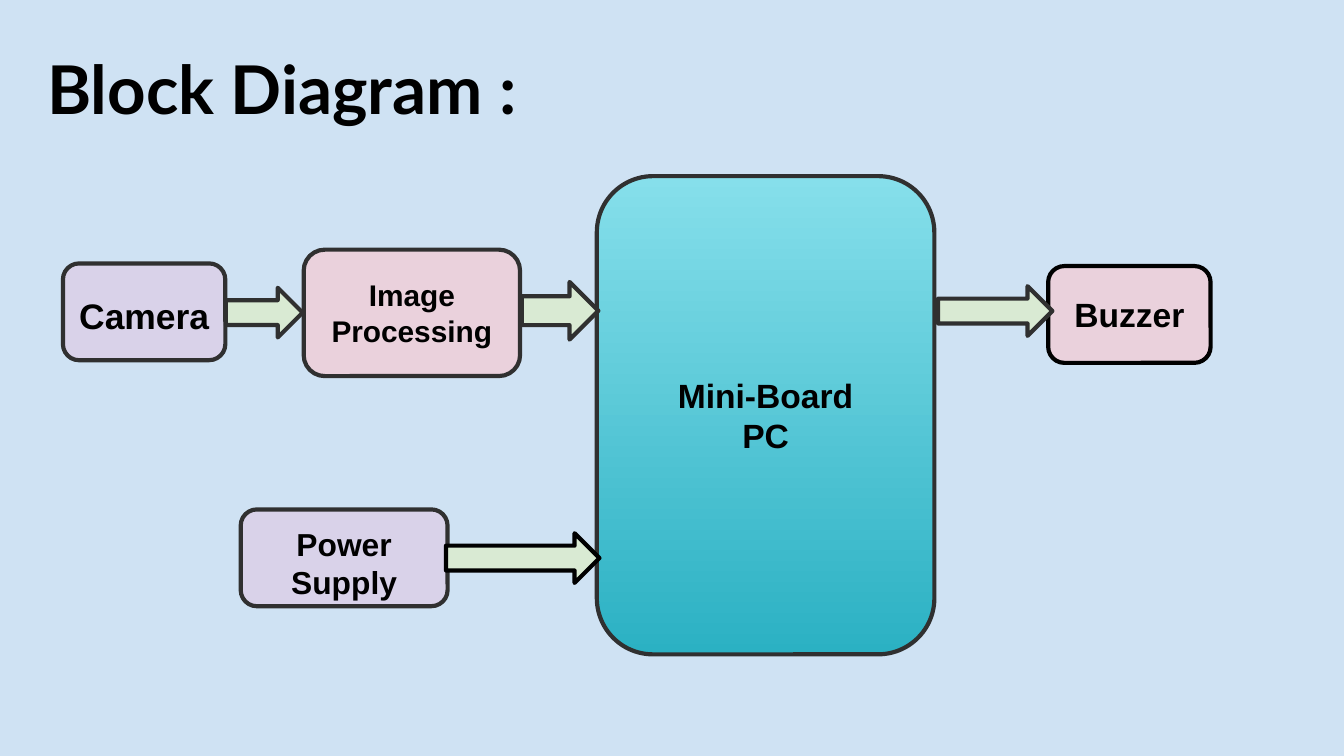
from pptx import Presentation
from pptx.dml.color import RGBColor
from pptx.enum.shapes import MSO_SHAPE
from pptx.enum.text import MSO_ANCHOR, MSO_AUTO_SIZE, PP_ALIGN
from pptx.util import Cm, Pt

ROUNDED = MSO_SHAPE.ROUNDED_RECTANGLE
ARROW = MSO_SHAPE.RIGHT_ARROW
TOP, MIDDLE = MSO_ANCHOR.TOP, MSO_ANCHOR.MIDDLE
LEFT, CENTER = PP_ALIGN.LEFT, PP_ALIGN.CENTER
NO_AUTOSIZE = MSO_AUTO_SIZE.NONE

COLORS = {
    "background": "CFE2F3",
    "text": "000000",
    "black": "000000",
    "charcoal": "303030",
    "lavender": "D9D2E9",
    "pink": "EAD1DC",
    "green": "D9EAD3",
    "teal_light": "86DFEB",
    "teal_dark": "2BB1C3",
}

BLOCKS = [
    (["Mini-Board", "PC"], (11.28, 3.33, 6.38, 9.04), ("teal_light", "teal_dark"), "charcoal", 18, 0),
    (["Camera"], (1.19, 4.98, 3.07, 1.83), ("lavender",), "charcoal", 19, 0.14),
    (["Image", "Processing"], (5.74, 4.72, 4.09, 2.39), ("pink",), "charcoal", 16, 0),
    (["Power Supply"], (4.55, 9.63, 3.91, 1.83), ("lavender",), "charcoal", 17, 0.2),
    (["Buzzer"], (19.81, 5.03, 3.07, 1.83), ("pink",), "black", 18, 0),
]

ARROWS = [
    ((4.27, 5.44, 1.45, 0.94), "charcoal"),
    ((9.86, 5.33, 1.45, 1.09), "charcoal"),
    ((17.73, 5.41, 2.16, 0.94), "charcoal"),
    ((8.43, 10.08, 2.9, 0.94), "black"),
]


def color(name):
    return RGBColor.from_string(COLORS[name])


def set_values(target, values):
    for name, value in values.items():
        setattr(target, name, value)


def write_text(box, lines, font, size, align, anchor, margins):
    frame = box.text_frame
    set_values(frame, {"word_wrap": True, "auto_size": NO_AUTOSIZE, "vertical_anchor": anchor})
    set_values(frame, {f"margin_{side}": Cm(value) for side, value in margins.items()})
    for index, line in enumerate(lines):
        para = frame.paragraphs[0] if index == 0 else frame.add_paragraph()
        para.alignment = align
        span = para.add_run()
        span.text = line
        set_values(span.font, {"name": font, "size": Pt(size), "bold": True})
        span.font.color.rgb = color("text")


def paint(shape, fills, line):
    if len(fills) == 1:
        shape.fill.solid()
        shape.fill.fore_color.rgb = color(fills[0])
    else:
        shape.fill.gradient()
        shape.fill.gradient_angle = 270
        for position, (stop, name) in enumerate(zip(shape.fill.gradient_stops, fills)):
            stop.position = position
            stop.color.rgb = color(name)
    shape.line.color.rgb = color(line)
    shape.line.width = Pt(2.25)
    shape.shadow.inherit = False


def add_title(page, text):
    title = page.shapes.title
    set_values(title, {"left": Cm(0.64), "top": Cm(0.64), "width": Cm(9.6), "height": Cm(1.9)})
    margins = dict.fromkeys(("left", "right", "top", "bottom"), 0.25)
    write_text(title, [text], "Lato", 36, LEFT, TOP, margins)


def add_block(page, lines, place, fills, line, size, drop):
    block = page.shapes.add_shape(ROUNDED, *map(Cm, place))
    paint(block, fills, line)
    margins = {"left": 0.2, "right": 0.2, "top": drop, "bottom": 0}
    write_text(block, lines, "Arial", size, CENTER, MIDDLE, margins)


def add_arrow(page, place, line):
    arrow = page.shapes.add_shape(ARROW, *map(Cm, place))
    paint(arrow, ("green",), line)


def main():
    deck = Presentation()
    set_values(deck, {"slide_width": Cm(25.4), "slide_height": Cm(14.29)})
    page = deck.slides.add_slide(deck.slide_layouts[5])
    page.background.fill.solid()
    page.background.fill.fore_color.rgb = color("background")
    add_title(page, "Block Diagram :")
    for block in BLOCKS:
        add_block(page, *block)
    for arrow in ARROWS:
        add_arrow(page, *arrow)
    deck.save("out.pptx")


if __name__ == "__main__":
    main()
